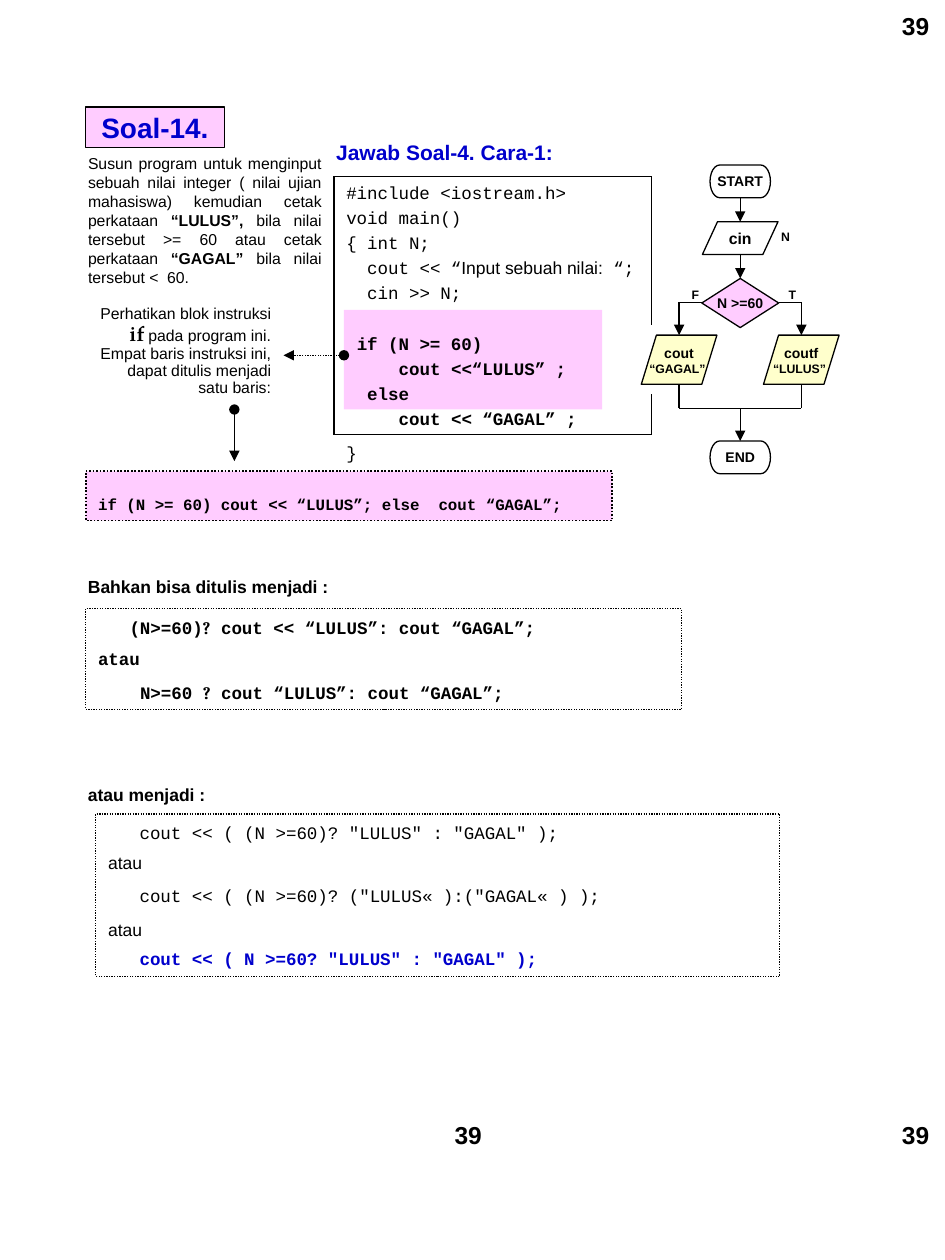
from collections import namedtuple

from lxml.etree import SubElement
from pptx import Presentation
from pptx.dml.color import RGBColor
from pptx.enum.dml import MSO_LINE
from pptx.enum.shapes import MSO_CONNECTOR, MSO_SHAPE as Preset
from pptx.enum.text import MSO_ANCHOR, MSO_AUTO_SIZE as AutoSize, PP_ALIGN as Align
from pptx.oxml.ns import qn
from pptx.util import Inches, Pt

# The page is a grid of 750 columns by 1000 rows.
COLUMNS, ROWS = 750, 1000
CELL = Inches(0.01)
BLACK, BLUE, PINK, YELLOW = "000000", "0000CC", "FFCCFF", "FFFFCC"
MONO, SANS = "Courier New", "Arial"

Box = namedtuple("Box", "left top width height")
Style = namedtuple("Style", "size font color bold", defaults=(SANS, BLACK, False))
Line = namedtuple("Line", "spans spacing indent before", defaults=(1, 0, 0))


def color(hex_text):
    return RGBColor.from_string(hex_text)


def cells(*counts):
    return [round(count * CELL) for count in counts]


def write(shape, lines, style, align=Align.LEFT, wrap=True, grow=False):
    """Fill a shape; a span is plain text or a (text, style changes) pair."""
    frame = shape.text_frame
    frame.word_wrap = wrap
    frame.auto_size = AutoSize.SHAPE_TO_FIT_TEXT if grow else AutoSize.NONE
    for index, line in enumerate(lines):
        para = frame.add_paragraph() if index else frame.paragraphs[0]
        para.alignment = align
        para.line_spacing = line.spacing
        para.space_before = Pt(line.before)
        # A monospaced letter is 0.6 of its size wide.
        para._p.get_or_add_pPr().set("marL", str(Pt(line.indent * style.size * 0.6)))
        for part in line.spans:
            text, changes = (part, {}) if isinstance(part, str) else part
            look = style._replace(**changes)
            span = para.add_run()
            span.text = text
            span.font.size = Pt(look.size)
            span.font.name = look.font
            span.font.bold = look.bold
            span.font.color.rgb = color(look.color)


def outline(shape, fill=None, weight=0.75, dotted=False):
    if fill:
        shape.fill.solid()
        shape.fill.fore_color.rgb = color(fill)
    else:
        shape.fill.background()
    if not weight:
        shape.line.fill.background()
        return
    shape.line.color.rgb = color(BLACK)
    shape.line.width = Pt(weight)
    if dotted:
        shape.line.dash_style = MSO_LINE.ROUND_DOT


def add_preset(page, preset, box, **look):
    shape = page.shapes.add_shape(preset, *cells(*box))
    shape.shadow.inherit = False
    outline(shape, **look)
    shape.text_frame.vertical_anchor = MSO_ANCHOR.TOP
    return shape


def add_text(page, box, lines, style, **layout):
    write(page.shapes.add_textbox(*cells(*box)), lines, style, **layout)


def add_label(page, box, text, style):
    add_text(page, box, [Line([text])], style, wrap=False, grow=True)


def add_line(page, start, end, head=None, tail=None, dotted=False):
    line = page.shapes.add_connector(MSO_CONNECTOR.STRAIGHT, *cells(*start, *end))
    line.line.color.rgb = color(BLACK)
    line.line.width = Pt(0.75)
    if dotted:
        line.line.dash_style = MSO_LINE.ROUND_DOT
    for tag, kind in (("a:headEnd", head), ("a:tailEnd", tail)):
        if kind:
            SubElement(line.line._get_or_add_ln(), qn(tag)).set("type", kind)
    SubElement(line._element.spPr, qn("a:effectLst"))


def add_title(page, box):
    title = page.shapes.title
    title.left, title.top, title.width, title.height = cells(*box)
    outline(title, PINK)
    title.text_frame.vertical_anchor = MSO_ANCHOR.MIDDLE
    write(title, [Line(["Soal-14."])], Style(16, color=BLUE, bold=True), Align.CENTER, wrap=False)


def add_question(page, box):
    bold = {"bold": True}
    spans = ["Susun program untuk menginput sebuah nilai integer ( nilai ujian mahasiswa) "
             "kemudian cetak perkataan ", ("“LULUS”,", bold),
             " bila nilai tersebut >= 60 atau cetak perkataan ", ("“GAGAL”", bold),
             " bila nilai tersebut <  60."]
    add_text(page, box, [Line(spans)], Style(9), align=Align.JUSTIFY)


def add_program(page, box):
    """Heading, highlighted block, listing and the open frame around it."""
    left, top, width, height = box
    right, bottom = left + width, top + height
    bold = {"bold": True}
    add_preset(page, Preset.RECTANGLE, Box(left + 8, top + 106, 205, 79), fill=PINK, weight=0)
    listing = [
        Line(["#include <iostream.h>"], 1.2),
        Line(["void main()"], 1.2),
        Line(["{ int N;"], 1.2),
        Line(["cout << “", ("Input sebuah nilai:", {"font": SANS}), " “;"], 1.2, 2),
        Line(["cin >> N;"], 1.2, 2),
        Line([("if (N >= 60)", bold)], 1.2, 1, before=14.3),
        Line([("cout <<“LULUS” ;", bold)], 1.2, 5),
        Line([("else", bold)], 1.2, 2),
        Line([("cout << “GAGAL” ;", bold)], 1.2, 5),
        Line(["}"], 1.6),
    ]
    add_text(page, Box(left, top - 4, width + 24, height + 32), listing, Style(10, MONO))
    add_label(page, Box(left - 8, top - 34, 196, 30), "Jawab Soal-4. Cara-1:",
              Style(12, color=BLUE, bold=True))
    for start, end in (((left, top), (right, top)), ((left, top), (left, bottom)),
                       ((left, bottom), (right, bottom)), ((right, top), (right, top + 118)),
                       ((right, bottom), (right, bottom - 32))):
        add_line(page, start, end)


def add_remark(page, box):
    """Remark on the block, with arrows from the block and to the short form."""
    spans = ["Perhatikan blok instruksi ",
             ("if", {"size": 12, "font": "TeX Gyre Pagella", "bold": True}),
             (" ", {"size": 10, "font": "Cambria"}), "pada program ini."]
    lines = [Line(spans, 0.9),
             Line(["Empat baris instruksi ini, dapat ditulis menjadi satu baris:"], 0.9)]
    add_text(page, box, lines, Style(9), align=Align.RIGHT)
    right, bottom = box.left + box.width, box.top + box.height
    ends = {"head": "oval", "tail": "triangle"}
    add_line(page, (right + 48, box.top + 44), (right, box.top + 44), dotted=True, **ends)
    add_line(page, (right - 39, bottom + 5), (right - 39, bottom + 46), **ends)


def add_code_box(page, box, lines, style, **look):
    write(add_preset(page, Preset.RECTANGLE, box, dotted=True, **look), lines, style)


def add_flowchart(page, box):
    left, top, width, height = box
    middle = left + width / 2
    false_side, true_side = middle - 48.5, middle + 48.5
    data, terminal = Preset.FLOWCHART_DATA, Preset.FLOWCHART_TERMINATOR
    nodes = [
        (terminal, middle, 0, 48, 26, None, 8, ["START"]),
        (data, middle, 45, 60, 26, None, 9, ["cin"]),
        (Preset.DIAMOND, middle, 90, 61, 39, PINK, 8, ["N >=60"]),
        (data, false_side, 135, 60, 39, YELLOW, 8, ["cout", "“GAGAL” "]),
        (data, true_side, 135, 60, 39, YELLOW, 8, ["coutf", "“LULUS” "]),
        (terminal, middle, height - 26, 48, 26, None, 8, ["END"]),
    ]
    for preset, center, row, wide, tall, fill, size, words in nodes:
        node = add_preset(page, preset, Box(center - wide / 2, top + row, wide, tall), fill=fill)
        node.text_frame.vertical_anchor = MSO_ANCHOR.MIDDLE
        lines = [Line([words[0]])] + [Line([(word, {"size": 7})]) for word in words[1:]]
        write(node, lines, Style(size, bold=True), Align.CENTER, wrap=False)

    branch, join = top + 109, top + 193
    for side, edge in ((false_side, middle - 30.5), (true_side, middle + 30.5)):
        add_line(page, (edge, branch), (side, branch))
        add_line(page, (side, branch), (side, top + 135), tail="triangle")
        add_line(page, (side, top + 174), (side, join))
    add_line(page, (false_side, join), (true_side, join))
    for start, end in ((26, 45), (71, 90), (193, 219)):
        add_line(page, (middle, top + start), (middle, top + end), tail="triangle")
    for text, column, row in (("N", 101, 46), ("T", 107, 92), ("F", 30, 92)):
        add_label(page, Box(left + column, top + row, 28, 22), text, Style(7, bold=True))


def build():
    deck = Presentation()
    deck.slide_width, deck.slide_height = cells(COLUMNS, ROWS)
    page = deck.slides.add_slide(deck.slide_layouts[5])

    add_title(page, Box(68, 85, 110, 32))
    add_question(page, Box(60, 117, 205, 131))
    add_program(page, Box(265, 140, 252, 205))
    add_remark(page, Box(68, 238, 157, 82))
    add_flowchart(page, Box(509, 131, 157, 245))

    add_code_box(page, Box(68, 374, 418, 39),
                 [Line(["if (N >= 60) cout << “LULUS”; else  cout “GAGAL”;"], 1.9)],
                 Style(9, MONO, bold=True), fill=PINK, weight=1)
    heading = Style(10, bold=True)
    add_label(page, Box(60, 452, 216, 27), "Bahkan bisa ditulis menjadi :", heading)
    mark = ("?", {"font": "Cambria"})
    add_code_box(page, Box(68, 483, 473, 80), [
        Line(["(N>=60)", mark, " cout << “LULUS”: cout “GAGAL”;"], 1.1, 3),
        Line(["atau"], 1.5),
        Line(["N>=60 ", mark, " cout “LULUS”: cout “GAGAL”;"], 1.6, 4),
    ], Style(10, MONO, bold=True))
    add_label(page, Box(60, 617, 117, 27), "atau menjadi :", heading)
    either = ("atau", {"font": SANS})
    add_code_box(page, Box(76, 646, 543, 129), [
        Line(['cout << ( (N >=60)? "LULUS" : "GAGAL" );'], 1.1, 3),
        Line([either], 1.4),
        Line(['cout << ( (N >=60)? ("LULUS« ):("GAGAL« ) );'], 1.6, 3),
        Line([either], 1.6),
        Line([('cout << ( N >=60? "LULUS" : "GAGAL" );', {"color": BLUE, "bold": True})], 1.4, 3),
    ], Style(10, MONO))

    for column, row in ((351, 884), (706, 884), (706, 4)):
        add_label(page, Box(column, row, 44, 34), "39", Style(14, bold=True))
    deck.save("out.pptx")


if __name__ == "__main__":
    build()
